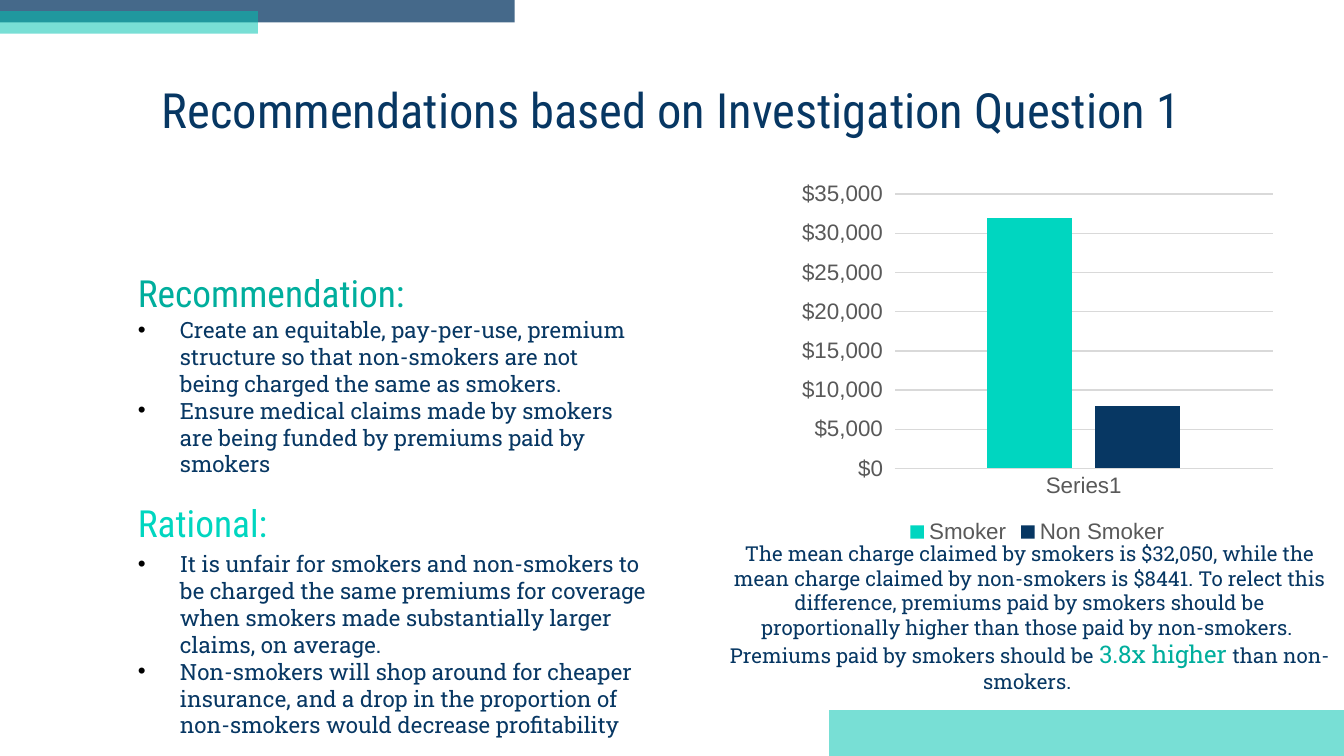
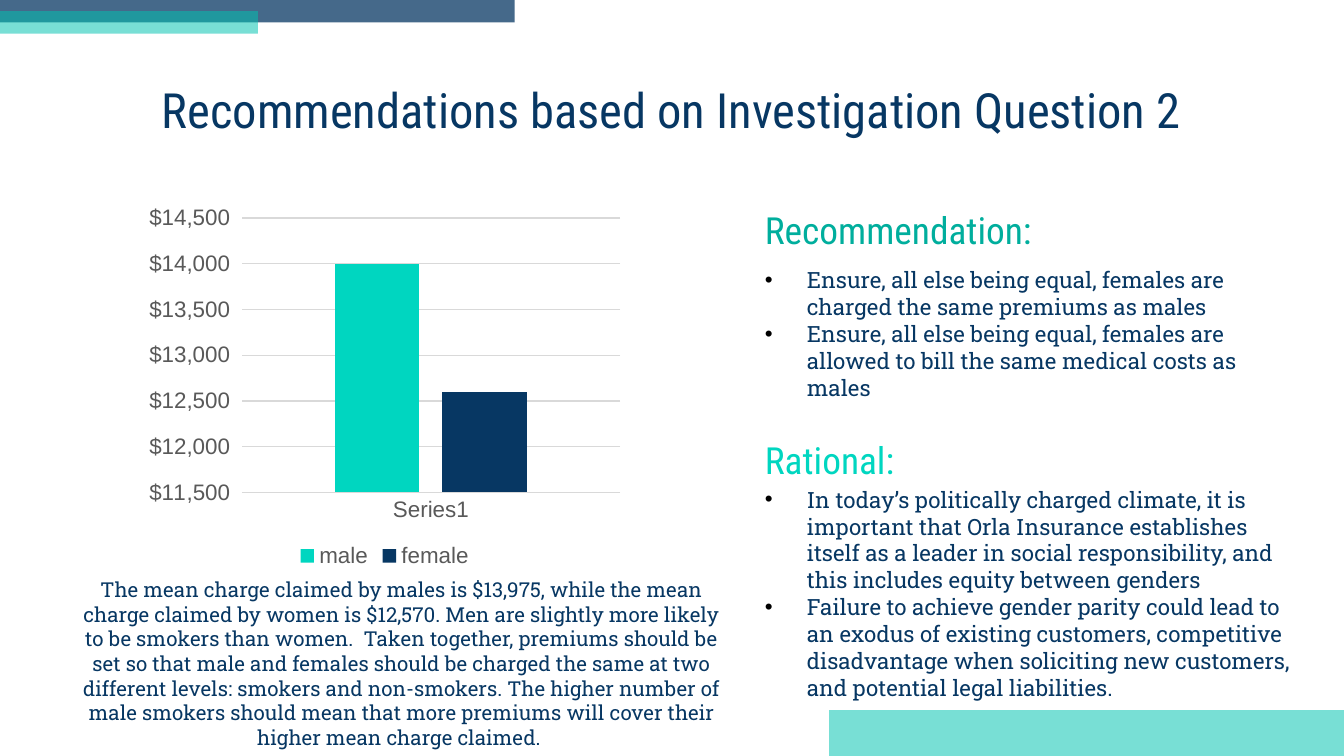
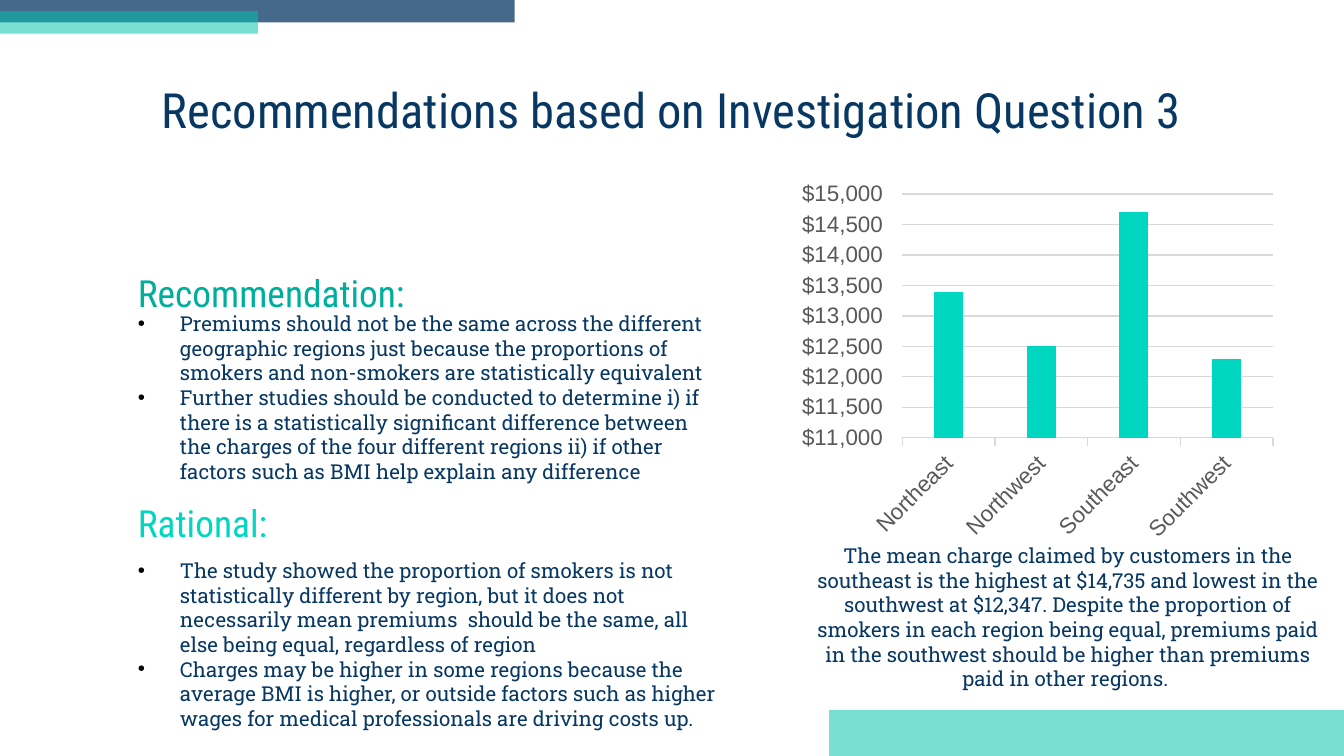
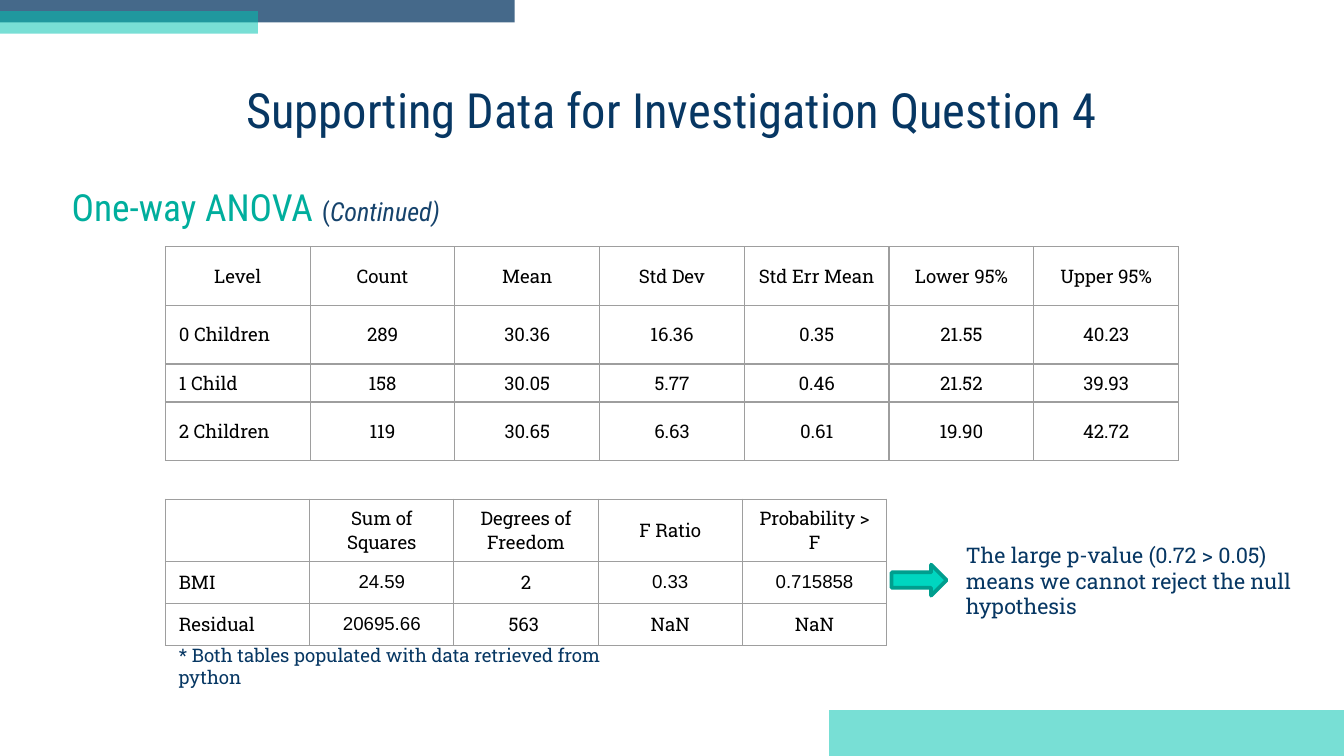
from dataclasses import dataclass

from lxml import etree
from pptx import Presentation
from pptx.chart.data import CategoryChartData
from pptx.dml.color import RGBColor
from pptx.enum.chart import XL_CHART_TYPE, XL_LEGEND_POSITION, XL_TICK_MARK
from pptx.enum.shapes import MSO_SHAPE
from pptx.enum.text import MSO_ANCHOR, PP_ALIGN
from pptx.oxml.ns import qn
from pptx.util import Pt

COLUMN = XL_CHART_TYPE.COLUMN_CLUSTERED
LEGEND_BOTTOM = XL_LEGEND_POSITION.BOTTOM
TICK_NONE, TICK_OUT = XL_TICK_MARK.NONE, XL_TICK_MARK.OUTSIDE
RECTANGLE, RIGHT_ARROW = MSO_SHAPE.RECTANGLE, MSO_SHAPE.RIGHT_ARROW
MIDDLE = MSO_ANCHOR.MIDDLE
LEFT, CENTER = PP_ALIGN.LEFT, PP_ALIGN.CENTER


@dataclass(frozen=True)
class Theme:
    navy: str = "073763"
    soft_navy: str = "16436C"
    teal: str = "00C3B1"
    deep_teal: str = "00AE9D"
    bright_teal: str = "00D6C0"
    arrow_edge: str = "009E8E"
    black: str = "000000"
    axis_text: str = "595959"
    axis_line: str = "D9D9D9"
    cell_line: str = "9E9E9E"
    heading_font: str = "Roboto Condensed"
    body_font: str = "Roboto Slab"
    plain_font: str = "Arial"
    title_size: float = 26
    heading_size: float = 20
    continued_size: float = 14
    accent_size: float = 13
    bullet_size: float = 12
    axis_size: float = 12
    remark_size: float = 11.5
    caption_size: float = 11
    table_size: float = 10
    hairline: float = 0.75


THEME = Theme()
TITLE = dict(name=THEME.heading_font, size=THEME.title_size, color=THEME.navy)
HEADING = dict(name=THEME.heading_font, size=THEME.heading_size, color=THEME.deep_teal)
CAPTION = dict(name=THEME.body_font, size=THEME.caption_size, color=THEME.navy)
BULLET = {**CAPTION, "size": THEME.bullet_size}
CELL = dict(name=THEME.body_font, size=THEME.table_size, color=THEME.black)
AXIS = dict(name=THEME.plain_font, size=THEME.axis_size, color=THEME.axis_text)

EVEN_INSETS = (7.2, 7.2, 7.2, 7.2)
HEADING_INSETS = (7.2, 14.4, 7.2, 0)
CAPTION_INSETS = (7.2, 0, 7.2, 0)
BULLET_INDENT = Pt(22.5)
CHART_SIZE = (262.8, 200.7)
DOLLARS = '"$"#,##0_);[Red]\\("$"#,##0\\)'


def rgb(code):
    return RGBColor.from_string(code)


def points(*lengths):
    return [Pt(length) for length in lengths]


def format_font(font, values):
    for key, value in values.items():
        if key == "color":
            font.color.rgb = rgb(value)
        else:
            setattr(font, key, Pt(value) if key == "size" else value)


def add_bullet(paragraph):
    properties = paragraph._p.get_or_add_pPr()
    properties.set("marL", str(BULLET_INDENT))
    properties.set("indent", str(-BULLET_INDENT))
    bullet_color = etree.SubElement(properties, qn("a:buClr"))
    etree.SubElement(bullet_color, qn("a:srgbClr"), val=THEME.black)
    etree.SubElement(properties, qn("a:buFont"), typeface=THEME.plain_font)
    etree.SubElement(properties, qn("a:buChar"), char="•")


def add_text(slide, box, paragraphs, insets=EVEN_INSETS, align=LEFT, bulleted=False, after=0):
    frame = slide.shapes.add_textbox(*points(*box)).text_frame
    margins = ("margin_left", "margin_top", "margin_right", "margin_bottom")
    layout = {**dict(zip(margins, points(*insets))), "word_wrap": True, "vertical_anchor": MIDDLE}
    for key, value in layout.items():
        setattr(frame, key, value)
    for number, runs in enumerate(paragraphs):
        paragraph = frame.add_paragraph() if number else frame.paragraphs[0]
        paragraph.alignment = align
        if after:
            paragraph.space_after = Pt(after)
        if bulleted:
            add_bullet(paragraph)
        for words, style in runs:
            run = paragraph.add_run()
            run.text = words
            format_font(run.font, style)


def add_block(slide, preset, box, fill, opacity=100, edge=None):
    block = slide.shapes.add_shape(preset, *points(*box))
    block.shadow.inherit = False
    block.fill.solid()
    block.fill.fore_color.rgb = rgb(fill)
    if opacity < 100:
        color = block.fill._xPr.find(".//" + qn("a:srgbClr"))
        etree.SubElement(color, qn("a:alpha"), val=str(opacity * 1000))
    if edge:
        block.line.color.rgb = rgb(edge)
        block.line.width = Pt(2)
    else:
        block.line.fill.background()


def add_page(deck, title):
    slide = deck.slides.add_slide(deck.slide_layouts[6])
    add_block(slide, RECTANGLE, (0, 0, 275.8, 12), THEME.navy, 75)
    add_block(slide, RECTANGLE, (0, 6, 138.2, 12), THEME.teal, 53)
    add_block(slide, RECTANGLE, (444.2, 380.4, 275.8, 24.6), THEME.teal, 53)
    add_text(slide, (56.6, 42.5, 607, 31.7), [[(title, TITLE)]], align=CENTER)
    return slide


def add_heading(slide, left, top, width, runs):
    add_text(slide, (left, top, width, 18.7), [runs], HEADING_INSETS, after=16)


def add_caption(slide, box, runs):
    add_text(slide, box, [runs], CAPTION_INSETS, CENTER)


def add_advice(slide, left, top, advice, advice_size, reasons, reasons_size,
               text_size=THEME.bullet_size, advice_foot=7.2):
    style = {**BULLET, "size": text_size}
    sections = (
        ("Recommendation:", THEME.deep_teal, 0, 175.7, advice, advice_size, 21.6, advice_foot),
        ("Rational:", THEME.bright_teal, 123.3, 121.7, reasons, reasons_size, 154.2, 7.2),
    )
    for name, color, drop, width, items, size, items_drop, foot in sections:
        add_text(slide, (left, top + items_drop, *size), [[(item, style)] for item in items],
                 (7.2, 7.2, 7.2, foot), bulleted=True)
        add_heading(slide, left, top + drop, width, [(name, {**HEADING, "color": color})])


def add_charges(slide, left, top, categories, series, scale,
                tick=TICK_NONE, legend=True, turn=None):
    data = CategoryChartData()
    data.categories = categories
    for name, values in series:
        data.add_series(name, values)
    chart = slide.shapes.add_chart(COLUMN, *points(left, top, *CHART_SIZE), data).chart
    format_font(chart.font, {**AXIS, "size": THEME.table_size, "color": THEME.black})
    chart.has_title = False
    chart.has_legend = legend
    if legend:
        chart.legend.position = LEGEND_BOTTOM
        chart.legend.include_in_layout = False
        format_font(chart.legend.font, AXIS)

    plot = chart.plots[0]
    for key, value in dict(gap_width=219, overlap=-27, vary_by_categories=False).items():
        setattr(plot, key, value)
    for bars, color in zip(plot.series, (THEME.bright_teal, THEME.navy)):
        bars.format.fill.solid()
        bars.format.fill.fore_color.rgb = rgb(color)

    regions, charges = chart.category_axis, chart.value_axis
    for axis in (regions, charges):
        axis.major_tick_mark = tick
        axis.minor_tick_mark = TICK_NONE
        format_font(axis.tick_labels.font, AXIS)
    if turn:
        label_body = regions._element.find(qn("c:txPr")).find(qn("a:bodyPr"))
        label_body.set("rot", str(turn * 60000))
        label_body.set("vert", "horz")
    charges.has_major_gridlines = True
    for line in (regions.format.line, charges.major_gridlines.format.line):
        line.color.rgb = rgb(THEME.axis_line)
        line.width = Pt(THEME.hairline)
    charges.format.line.fill.background()
    charges.minimum_scale, charges.maximum_scale, charges.major_unit = scale
    charges.tick_labels.number_format = DOLLARS
    charges.tick_labels.number_format_is_linked = False


def add_cell_lines(cell):
    properties = cell._tc.get_or_add_tcPr()
    for side in ("a:lnL", "a:lnR", "a:lnT", "a:lnB"):
        line = etree.SubElement(properties, qn(side), w=str(Pt(THEME.hairline)))
        fill = etree.SubElement(line, qn("a:solidFill"))
        etree.SubElement(fill, qn("a:srgbClr"), val=THEME.cell_line)


def add_results(slide, left, top, column_width, row_heights, rows, plain_cells=()):
    columns = len(rows[0])
    box = points(left, top, column_width * columns, sum(row_heights))
    table = slide.shapes.add_table(len(rows), columns, *box).table
    table.first_row = table.horz_banding = False
    for column in table.columns:
        column.width = Pt(column_width)
    for row, height in zip(table.rows, row_heights):
        row.height = Pt(height)
    for row_number, row in enumerate(rows):
        for column_number, words in enumerate(row):
            cell = table.cell(row_number, column_number)
            add_cell_lines(cell)
            cell.fill.background()
            cell.vertical_anchor = MIDDLE
            cell.text = words
            paragraph = cell.text_frame.paragraphs[0]
            paragraph.alignment = LEFT if row_number and not column_number else CENTER
            font_name = THEME.plain_font if words in plain_cells else THEME.body_font
            target = paragraph.runs[0].font if words else paragraph.font
            format_font(target, {**CELL, "name": font_name})


def add_smoker_page(deck):
    slide = add_page(deck, "Recommendations based on Investigation Question 1")
    add_caption(slide, (383.6, 292.8, 336.2, 75.6), [
        ("The mean charge claimed by smokers is $32,050, while the mean charge claimed by "
         "non-smokers is $8441. To relect this difference, premiums paid by smokers should be "
         "proportionally higher than those paid by non-smokers.  Premiums paid by smokers "
         "should be ", CAPTION),
        ("3.8x higher ", {**CAPTION, "size": THEME.accent_size, "color": THEME.deep_teal}),
        ("than non-smokers. ", CAPTION),
    ])
    add_advice(slide, 66.8, 140.2, [
        "Create an equitable, pay-per-use, premium structure so that non-smokers are not being "
        "charged the same as smokers.",
        "Ensure medical claims made by smokers are being funded by premiums paid by smokers",
    ], (278.6, 101.5), [
        "It is unfair for smokers and non-smokers to be charged the same premiums for coverage "
        "when smokers made substantially larger claims, on average.",
        "Non-smokers will shop around for cheaper insurance, and a drop in the proportion of "
        "non-smokers would decrease profitability",
    ], (293, 101.5))
    add_charges(slide, 424.4, 93.6, ["Series1"],
                [("Smoker", [32000]), ("Non Smoker", [8000])], (0, 35000, 5000))


def add_gender_page(deck):
    slide = add_page(deck, "Recommendations based on Investigation Question 2")
    add_advice(slide, 402.7, 106.4, [
        "Ensure, all else being equal, females are charged the same premiums as males",
        "Ensure, all else being equal, females are allowed to bill the same medical costs as males",
    ], (278.6, 101.5), [
        "In today’s politically charged climate, it is important that Orla Insurance establishes "
        "itself as a leader in social responsibility, and this includes equity between genders",
        "Failure to achieve gender parity could lead to an exodus of existing customers, "
        "competitive disadvantage when soliciting new customers, and potential legal liabilities.",
    ], (303.1, 114.5))
    add_caption(slide, (33.8, 305.6, 362.9, 99.4), [
        ("The mean charge claimed by males is $13,975, while the mean charge claimed by women is "
         "$12,570. Men are slightly more likely to be smokers than women.  Taken together, "
         "premiums should be set so that male and females should be charged the same at two "
         "different levels: smokers and non-smokers. The higher number of male smokers should "
         "mean that more premiums will cover their higher mean charge claimed. ", CAPTION),
    ])
    add_charges(slide, 74.7, 106.4, ["Series1"],
                [("male", [14000]), ("female", [12600])], (11500, 14500, 500))


def add_region_page(deck):
    slide = add_page(deck, "Recommendations based on Investigation Question 3")
    add_caption(slide, (424.6, 292.7, 295.2, 75.6), [
        ("The mean charge claimed by customers in the southeast is the highest at $14,735 and "
         "lowest in the southwest at $12,347. Despite the proportion of smokers in each region "
         "being equal, premiums paid in the southwest should be higher than premiums paid in "
         "other regions. ", CAPTION),
    ])
    add_advice(slide, 66.8, 140.2, [
        "Premiums should not be the same across the different geographic regions just because "
        "the proportions of smokers and non-smokers are statistically equivalent",
        "Further studies should be conducted to determine i) if there is a statistically "
        "significant difference between the charges of the four different regions ii) if other "
        "factors such as BMI help explain any difference",
    ], (324.7, 116.6), [
        "The study showed the proportion of smokers is not statistically different by region, "
        "but it does not necessarily mean premiums  should be the same, all else being equal, "
        "regardless of region",
        "Charges may be higher in some regions because the average BMI is higher, or outside "
        "factors such as higher wages for medical professionals are driving costs up.",
    ], (324.7, 101.5), THEME.caption_size, 21.6)
    add_charges(slide, 424.4, 93.6, ["Northeast", "Northwest", "Southeast", "Southwest"],
                [("Series 1", [13400, 12500, 14700, 12300])], (11000, 15000, 500),
                TICK_OUT, legend=False, turn=-45)


def add_anova_page(deck):
    slide = add_page(deck, "Supporting Data for Investigation Question 4")
    continued = {**HEADING, "size": THEME.continued_size, "color": THEME.soft_navy}
    add_heading(slide, 31.3, 94, 272.2, [
        ("One-way ANOVA ", HEADING),
        ("(", continued),
        ("Continued)", {**continued, "italic": True}),
    ])
    add_results(slide, 88.6, 132.2, 77.55, (31.4, 31.4, 20.4, 31.4), [
        ("Level", "Count", "Mean", "Std Dev", "Std Err Mean", "Lower 95%", "Upper 95%"),
        ("0 Children", "289", "30.36", "16.36", "0.35", "21.55", "40.23"),
        ("1 Child", "158", "30.05", "5.77", "0.46", "21.52", "39.93"),
        ("2 Children", "119", "30.65", "6.63", "0.61", "19.90", "42.72"),
    ])
    add_results(slide, 88.6, 267.5, 77.3, (33.2, 22.5, 22.5), [
        ("", "Sum of Squares", "Degrees of Freedom", "F Ratio", "Probability > F"),
        ("BMI", "24.59", "2", "0.33", "0.715858"),
        ("Residual", "20695.66", "563 ", "NaN", "NaN"),
    ], ("24.59", "0.33", "0.715858", "20695.66"))
    add_text(slide, (510.4, 285.4, 190.1, 51.1), [[
        ("The large p-value (0.72 > 0.05) means we cannot reject the null hypothesis",
         {**CAPTION, "size": THEME.remark_size}),
    ]])
    add_block(slide, RIGHT_ARROW, (477.6, 302.5, 29.5, 16.6), THEME.bright_teal,
              edge=THEME.arrow_edge)
    add_text(slide, (88.6, 348.7, 264.2, 16.6), [[
        ("* Both tables populated with data retrieved from python",
         {**CAPTION, "size": THEME.table_size}),
    ]])


def main():
    deck = Presentation()
    deck.slide_width, deck.slide_height = points(720, 405)
    add_smoker_page(deck)
    add_gender_page(deck)
    add_region_page(deck)
    add_anova_page(deck)
    deck.save("out.pptx")


if __name__ == "__main__":
    main()
